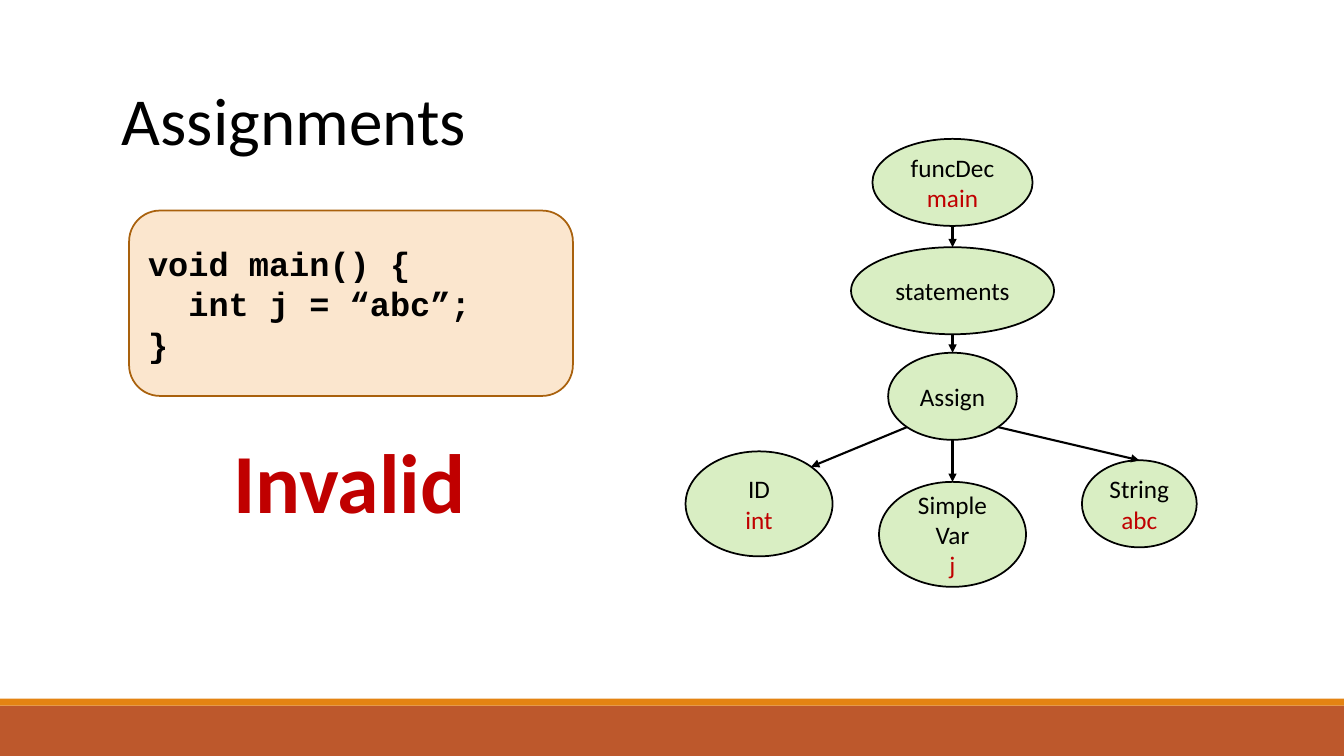
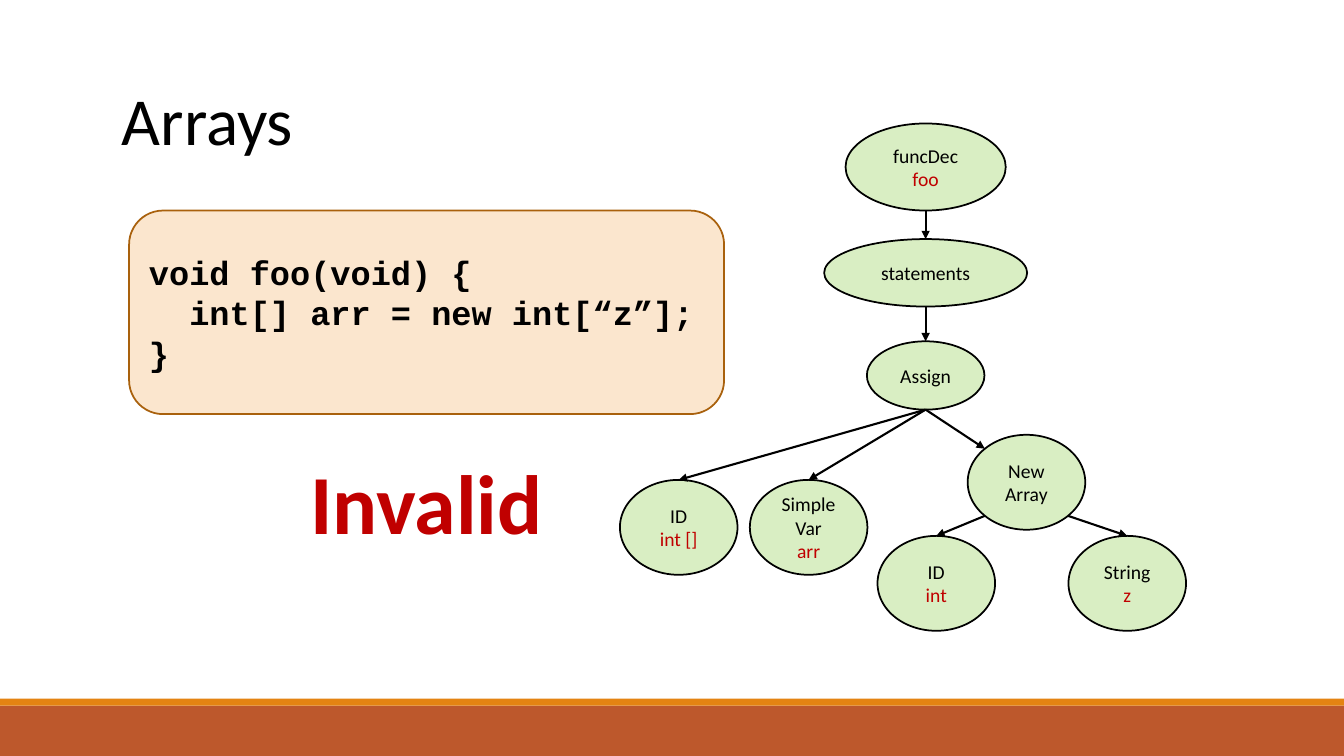
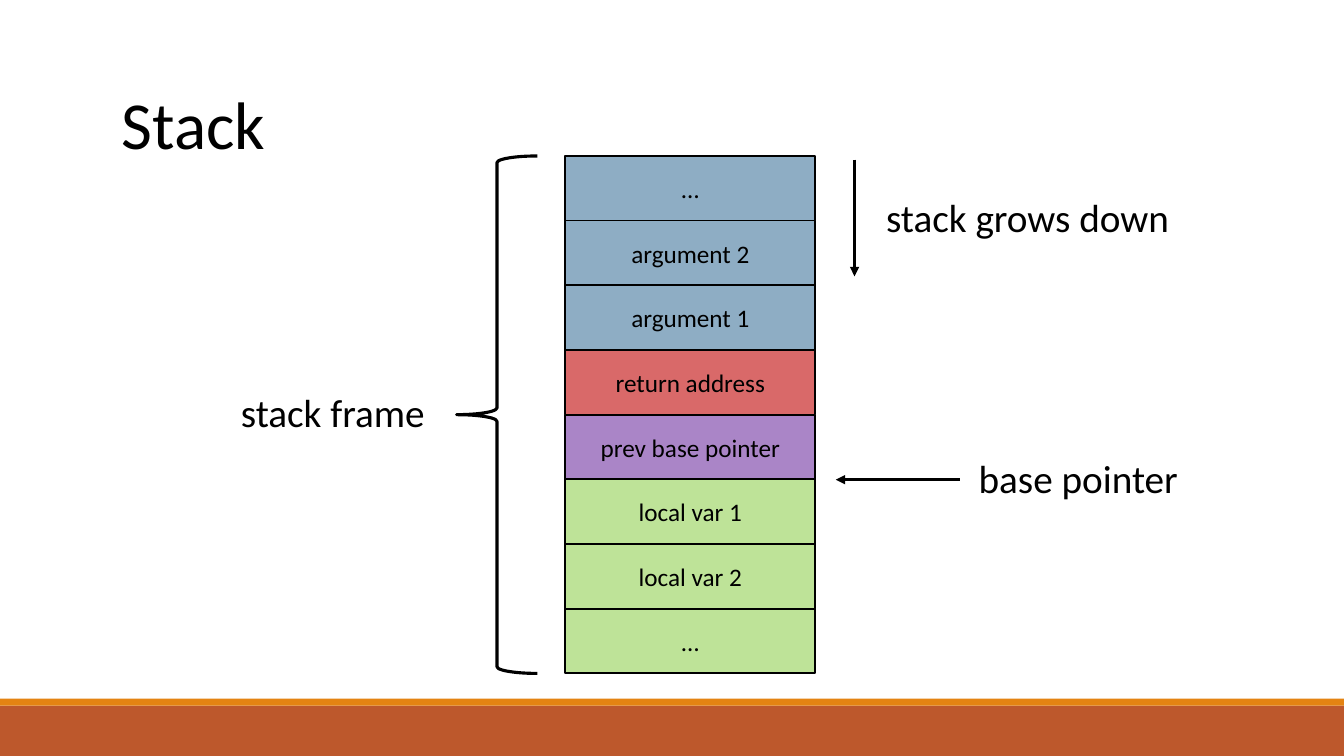
from lxml import etree
from pptx import Presentation
from pptx import util as u
from pptx.dml import color
from pptx.enum import shapes, text
from pptx.oxml import ns

BLACK, RED, GREEN, BLUE, PURPLE = "000000", "C00000", "92D050", "40749B", "7030A0"
BODY = {"name": "Calibri", "size": u.Pt(18), "bold": False}
CODE = {"name": "Courier New", "size": u.Pt(24), "bold": True}
TITLE = {**BODY, "size": u.Pt(48)}
LABEL = {**BODY, "size": u.Pt(28)}
VERDICT = {**BODY, "size": u.Pt(60), "bold": True}
BANDS = [(504, 36, "BD582C"), (499, 5, "E48312")]
CODE_INDENT = 28.8
DIAGONAL = 0.5 ** 0.5
SITES = {
    "top": (0, -1), "bottom": (0, 1),
    "top left": (-DIAGONAL, -DIAGONAL), "top right": (DIAGONAL, -DIAGONAL),
    "bottom left": (-DIAGONAL, DIAGONAL), "bottom right": (DIAGONAL, DIAGONAL),
}

ASSIGN_NODES = {
    "function": (680.4, 99.2, 114.4, 62.2, ["funcDec"], "main"),
    "statements": (680.4, 176.6, 145, 62.2, ["statements"], ""),
    "assign": (680.4, 252, 92, 62.2, ["Assign"], ""),
    "type": (542.2, 322.4, 105, 75, ["ID"], "int"),
    "variable": (680.4, 344.2, 105, 75, ["Simple", "Var"], "j"),
    "value": (813.8, 328.8, 82, 62.2, ["String"], "abc"),
}
ASSIGN_EDGES = [
    ("function", "bottom", "statements", "top"),
    ("statements", "bottom", "assign", "top"),
    ("assign", "bottom left", "type", "top right"),
    ("assign", "bottom", "variable", "top"),
    ("assign", "bottom right", "value", "top"),
]
ARRAY_NODES = {
    "function": (661.2, 88.2, 114.4, 62.2, ["funcDec"], "foo"),
    "statements": (661.2, 170.8, 145, 48.2, ["statements"], ""),
    "assign": (661.2, 243.8, 84, 48.8, ["Assign"], ""),
    "type": (484.8, 342.8, 84, 67.8, ["ID"], "int []"),
    "variable": (577.6, 342.8, 84, 67.8, ["Simple", "Var"], "arr"),
    "array": (733.2, 310.6, 84, 67.8, ["New", "Array"], ""),
    "element": (668.8, 382.8, 84, 67.8, ["ID"], "int"),
    "length": (805.2, 382.8, 84, 67.8, ["String"], "z"),
}
ARRAY_EDGES = [
    ("function", "bottom", "statements", "top"),
    ("statements", "bottom", "assign", "top"),
    ("assign", "bottom", "type", "top"),
    ("assign", "bottom", "variable", "top"),
    ("assign", "bottom", "array", "top left"),
    ("array", "bottom left", "element", "top"),
    ("array", "bottom right", "length", "top"),
]
STACK_CELLS = [
    ("…", BLUE), ("argument 2", BLUE), ("argument 1", BLUE),
    ("return address", RED), ("prev base pointer", PURPLE),
    ("local var 1", GREEN), ("local var 2", GREEN), ("…", GREEN),
]


def rgb(value):
    """Turn a hex string into a colour."""
    return color.RGBColor.from_string(value)


def style(target, values):
    """Set every attribute in a dict of format values."""
    for name, value in values.items():
        setattr(target, name, value)


def write(box, lines, font, align=text.PP_ALIGN.LEFT, **frame):
    """Fill a box with one paragraph for each (words, colour) line."""
    style(box.text_frame, {"word_wrap": True, **frame})
    paras = box.text_frame.paragraphs
    for index, (words, hue) in enumerate(lines):
        para = box.text_frame.add_paragraph() if index else paras[0]
        para.alignment = align
        span = para.add_run()
        span.text = words
        style(span.font, font)
        span.font.color.rgb = rgb(hue)


def add_label(page, at, words, font, hue=BLACK, align=text.PP_ALIGN.LEFT):
    """Add a line of free text."""
    box = page.shapes.add_textbox(*map(u.Pt, at))
    write(box, [(words, hue)], font, align, auto_size=text.MSO_AUTO_SIZE.SHAPE_TO_FIT_TEXT)


def add_box(page, kind, at, fill=None, alpha=100, line=None, width=1.25):
    """Add a preset shape with a plain fill and outline."""
    box = page.shapes.add_shape(kind, *map(u.Pt, at))
    box.shadow.inherit = False
    if fill:
        box.fill.solid()
        box.fill.fore_color.rgb = rgb(fill)
        solid = box._element.spPr.find(ns.qn("a:solidFill"))
        if alpha < 100:
            etree.SubElement(solid[0], ns.qn("a:alpha"), val=str(alpha * 1000))
    else:
        box.fill.background()
    if line:
        box.line.color.rgb = rgb(line)
        box.line.width = u.Pt(width)
    else:
        box.line.fill.background()
    return box


def add_arrow(page, start, end, width=1.5):
    """Add a straight arrow between two points."""
    arrow = page.shapes.add_connector(
        shapes.MSO_CONNECTOR.STRAIGHT, *map(u.Pt, (*start, *end)))
    arrow.line.color.rgb = rgb(BLACK)
    arrow.line.width = u.Pt(width)
    properties = arrow._element.spPr
    etree.SubElement(properties.find(ns.qn("a:ln")), ns.qn("a:tailEnd"), type="triangle")
    etree.SubElement(properties, ns.qn("a:effectLst"))


def add_page(deck, title, top=52.6):
    """Add a page with the shared bands and title."""
    page = deck.slides.add_slide(deck.slide_layouts[6])
    for band_top, height, fill in BANDS:
        add_box(page, shapes.MSO_SHAPE.RECTANGLE, (0, band_top, 960, height), fill)
    add_label(page, (80, top, 798, 65.6), title, TITLE)
    return page


def add_code(page, width, height, lines):
    """Add a rounded code panel with its middle line indented."""
    at = (92.2, 150.4, width, height)
    box = add_box(page, shapes.MSO_SHAPE.ROUNDED_RECTANGLE, at, "FBE6CE", line="A9610D")
    write(box, [(words, BLACK) for words in lines], CODE,
          vertical_anchor=text.MSO_ANCHOR.MIDDLE)
    for para in box.text_frame.paragraphs:
        para.line_spacing = u.Pt(28.9)
    middle = box.text_frame.paragraphs[1]
    middle._p.get_or_add_pPr().set("marL", str(u.Pt(CODE_INDENT)))


def add_verdict(page, left, top):
    """Add the large verdict under the code."""
    add_label(page, (left, top, 220, 80), "Invalid", VERDICT, RED, text.PP_ALIGN.CENTER)


def site(node, side):
    """Find a point on the rim of an oval node."""
    center, top, width, height = node[:4]
    across, down = SITES[side]
    return center + across * width / 2, top + (1 + down) * height / 2


def add_tree(page, nodes, edges, size):
    """Draw a syntax tree of oval nodes and arrows."""
    for center, top, width, height, names, value in nodes.values():
        at = (center - width / 2, top, width, height)
        oval = add_box(page, shapes.MSO_SHAPE.OVAL, at, GREEN, 34, BLACK)
        lines = [(name, BLACK) for name in names] + ([(value, RED)] if value else [])
        write(oval, lines, {**BODY, "size": u.Pt(size)}, text.PP_ALIGN.CENTER,
              vertical_anchor=text.MSO_ANCHOR.MIDDLE, margin_left=0, margin_right=0)
    for parent, leave, child, arrive in edges:
        add_arrow(page, site(nodes[parent], leave), site(nodes[child], arrive))


def add_stack(page, left, top, width, height):
    """Draw the stack cells from top to bottom."""
    for row, (words, fill) in enumerate(STACK_CELLS):
        at = (left, top + row * height, width, height)
        cell = add_box(page, shapes.MSO_SHAPE.RECTANGLE, at, fill, 59, BLACK)
        write(cell, [(words, BLACK)], BODY, text.PP_ALIGN.CENTER,
              vertical_anchor=text.MSO_ANCHOR.MIDDLE)


def main():
    """Build and save the deck."""
    deck = Presentation()
    style(deck, {"slide_width": u.Pt(960), "slide_height": u.Pt(540)})

    page = add_page(deck, "Assignments")
    add_code(page, 317, 132.4, ["void main() {", "int j = “abc”;", "}"])
    add_verdict(page, 139.6, 303)
    add_tree(page, ASSIGN_NODES, ASSIGN_EDGES, 18)

    page = add_page(deck, "Arrays")
    add_code(page, 425, 145.4, ["void foo(void) {", "int[] arr = new int[“z”];", "}"])
    add_verdict(page, 194.6, 318.4)
    add_tree(page, ARRAY_NODES, ARRAY_EDGES, 14)

    page = add_page(deck, "Stack", 55)
    add_stack(page, 403.8, 111.4, 178.6, 46.2)
    add_box(page, shapes.MSO_SHAPE.LEFT_BRACE, (326.2, 111.4, 57.6, 369.6),
            line=BLACK, width=2.25)
    add_arrow(page, (685.6, 342.6), (597, 342.6), 2.25)
    add_arrow(page, (610.4, 114), (610.4, 197.4), 2.25)
    add_label(page, (692, 320.6, 210, 41.2), "base pointer", LABEL)
    add_label(page, (165, 273.8, 176, 41.2), "stack frame", LABEL)
    add_label(page, (625.8, 134.6, 234, 41.2), "stack grows down", LABEL)

    deck.save("out.pptx")


if __name__ == "__main__":
    main()
